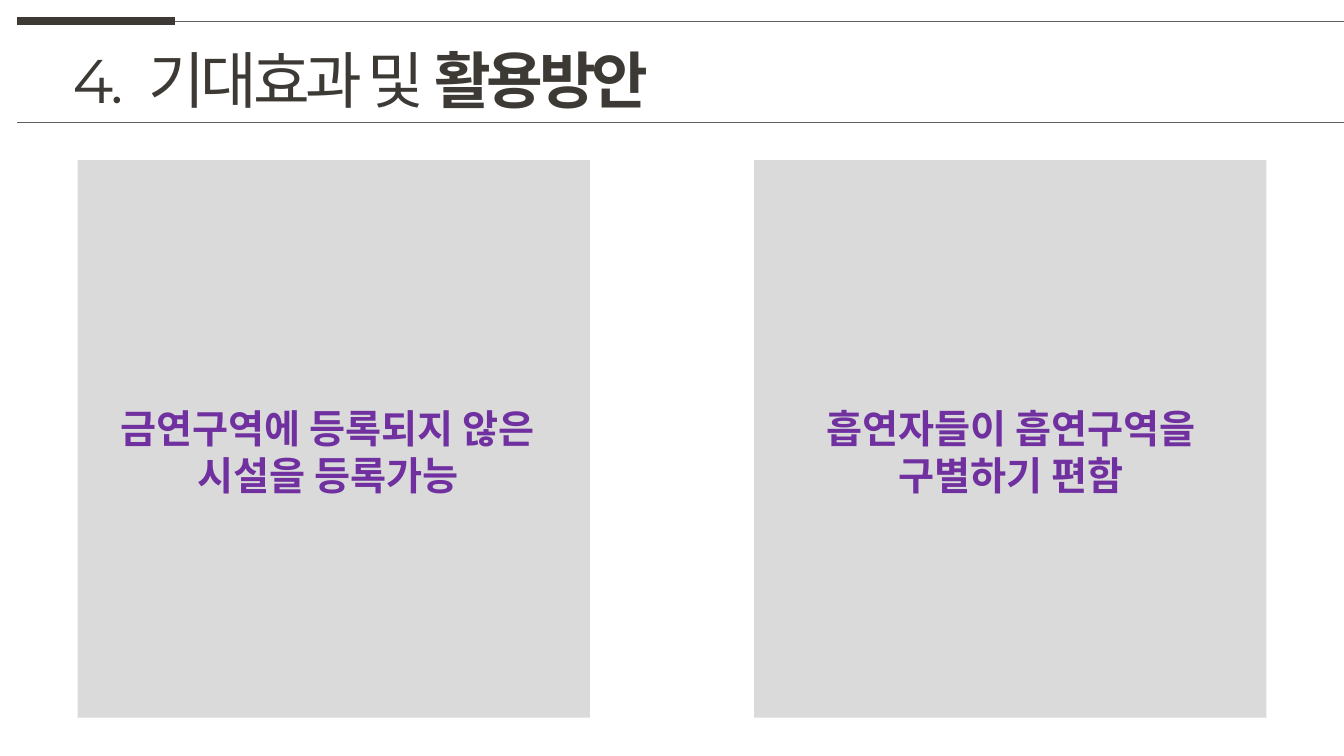
from pptx import Presentation
from pptx.dml.color import RGBColor
from pptx.enum.shapes import MSO_CONNECTOR, MSO_SHAPE
from pptx.enum.text import MSO_ANCHOR, MSO_AUTO_SIZE, PP_ALIGN
from pptx.oxml.ns import qn
from pptx.util import Emu, Pt
from lxml.etree import SubElement

PX = 9144
FONT = "Montserrat"
INK = RGBColor(0x3D, 0x3A, 0x35)
RULE = RGBColor(0x5F, 0x5F, 0x5D)
PANEL = RGBColor(0xDA, 0xDA, 0xDA)
PURPLE = RGBColor(0x70, 0x30, 0xA0)


def px(*lengths):
    """Turn pixel lengths into EMU."""
    return [Emu(length * PX) for length in lengths]


def add_rule(slide, left, right, y, color, weight):
    """Draw a horizontal line."""
    line = slide.shapes.add_connector(MSO_CONNECTOR.STRAIGHT, *px(left, y, right, y))
    line.line.color.rgb = color
    line.line.width = Pt(weight)
    SubElement(line._element.spPr, qn("a:effectLst"))


def add_header(slide, left, top, right, bottom):
    """Place the title between its two rules, with a thick accent at the left."""
    accent_end = left + 157
    add_rule(slide, left, accent_end, top, INK, 6)
    add_rule(slide, accent_end, right, top, RULE, 0.5)
    add_rule(slide, left, right, bottom, RULE, 0.5)

    title = slide.shapes.title
    title.left, title.top, title.width, title.height = px(left + 45, top + 16, 625, 84)
    frame = title.text_frame
    frame.word_wrap = False
    frame.auto_size = MSO_AUTO_SIZE.NONE
    frame.vertical_anchor = MSO_ANCHOR.TOP
    paragraph = frame.paragraphs[0]
    paragraph.alignment = PP_ALIGN.LEFT
    paragraph.font.name = FONT
    paragraph.font.size = Pt(44)
    paragraph.font.color.rgb = INK
    pieces = [("4.", -300, False), (" ", 600, False),
              ("기대효과 및 ", -300, False), ("활용방안", -300, True)]
    for text, spacing, bold in pieces:
        run = paragraph.add_run()
        run.text = text
        run.font.bold = bold
        run._r.get_or_add_rPr().set("spc", str(spacing))


def add_panel(slide, left, top, width, height, text, text_left, text_width):
    """Place a grey panel with a purple statement over it."""
    panel = slide.shapes.add_shape(MSO_SHAPE.RECTANGLE, *px(left, top, width, height))
    panel.shadow.inherit = False
    panel.fill.solid()
    panel.fill.fore_color.rgb = PANEL
    panel.line.fill.background()

    box = slide.shapes.add_textbox(*px(left + text_left, top + 237, text_width, 104))
    frame = box.text_frame
    frame.word_wrap = True
    paragraph = frame.paragraphs[0]
    paragraph.text = text
    paragraph.alignment = PP_ALIGN.CENTER
    paragraph.font.name = FONT
    paragraph.font.size = Pt(28)
    paragraph.font.bold = True
    paragraph.font.color.rgb = PURPLE


def main():
    """Build the slide and save it."""
    presentation = Presentation()
    presentation.slide_width, presentation.slide_height = px(1333, 750)
    slide = presentation.slides.add_slide(presentation.slide_layouts[5])
    add_header(slide, 17, 21, 1333, 121)
    statements = [("금연구역에 등록되지 않은 시설을 등록가능", 15, 466),
                  ("흡연자들이 흡연구역을 구별하기 편함", 40, 429)]
    for index, statement in enumerate(statements):
        add_panel(slide, 77 + index * 671, 159, 508, 553, *statement)
    presentation.save("out.pptx")


if __name__ == "__main__":
    main()
